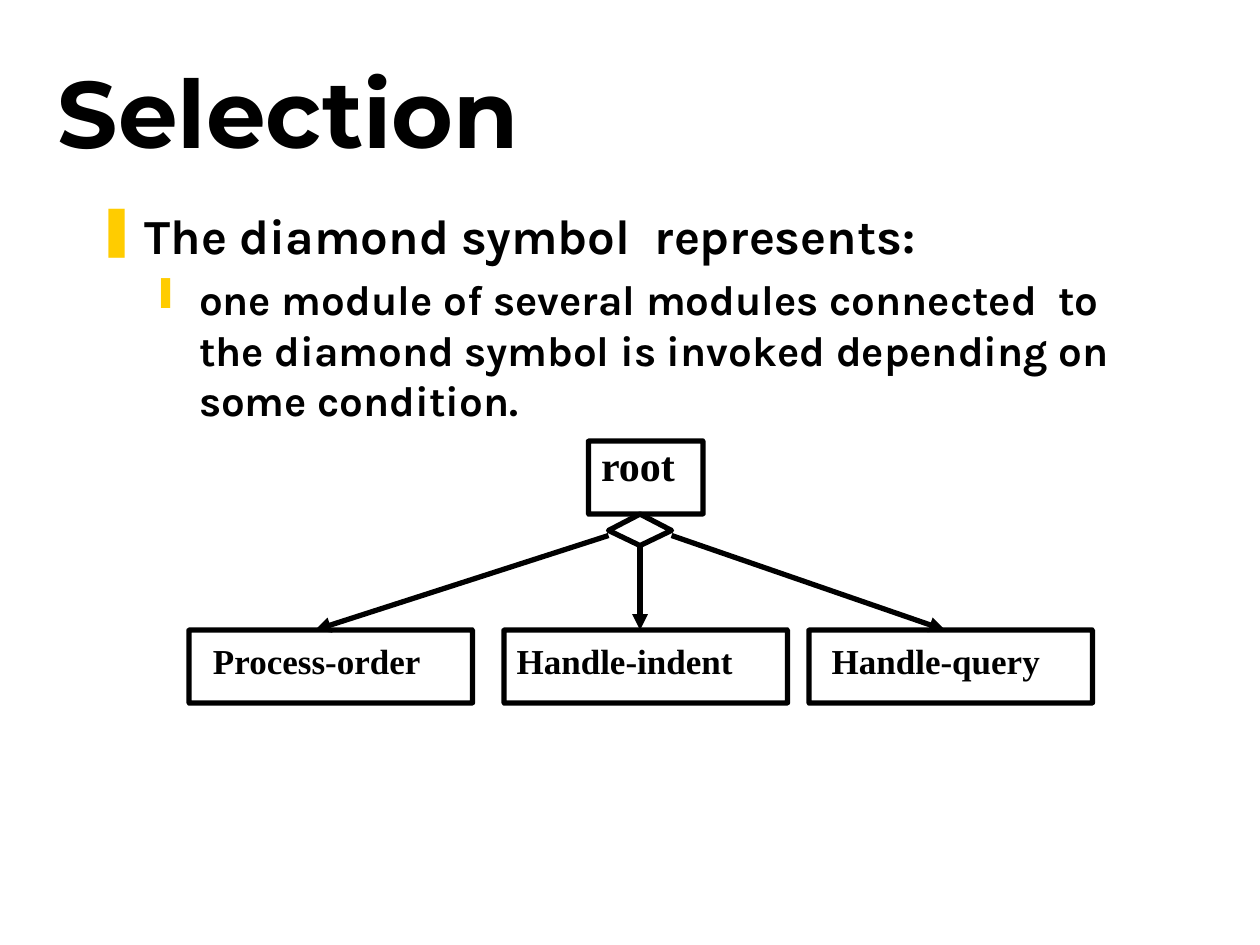
from dataclasses import dataclass

from lxml import etree
from pptx import Presentation
from pptx.dml.color import RGBColor
from pptx.enum import shapes, text
from pptx.oxml.ns import qn
from pptx.util import Inches, Pt

BLACK = RGBColor(0x00, 0x00, 0x00)
YELLOW = RGBColor(0xFF, 0xCC, 0x00)
LINE_WIDTH = Pt(3)
BOX_HEIGHT = 0.58
MODULE_TOP = 5.0
MODULE_WIDTH = 2.25


@dataclass(frozen=True)
class Label:
    words: str
    left: float
    top: float
    width: float
    height: float
    size: int


@dataclass(frozen=True)
class Module:
    left: float
    label: Label


@dataclass(frozen=True)
class Bullet:
    words: str
    symbol: str
    level: int
    indent: float
    hanging: float
    size: int
    space_before: float


@dataclass(frozen=True)
class Arrow:
    start_x: float
    start_y: float
    end_x: float


ROOT = Label("root", 4.75, 3.5, 1.25, 0.5, 24)
MODULES = [
    Module(1.5, Label("Process-order", 1.67, 5.08, 2.08, 0.43, 20)),
    Module(4.0, Label("Handle-indent", 4.08, 5.08, 2.33, 0.43, 20)),
    Module(6.42, Label("Handle-query", 6.58, 5.08, 2.08, 0.43, 20)),
]
ARROWS = [Arrow(4.83, 4.25, 2.5), Arrow(5.08, 4.33, 5.08), Arrow(5.33, 4.25, 7.5)]
DIAMOND = [(5.08, 4.08), (5.33, 4.21), (5.08, 4.33), (4.83, 4.21)]
BULLETS = [
    Bullet("The diamond symbol  represents:", "❚", 0, 0.38, 0.38, 28, 0),
    Bullet("one module of several modules connected  to the diamond symbol "
           "is invoked depending on some condition.", "❙", 1, 0.81, 0.31, 24, 5.5),
]


def add_text_frame(slide, left: float, top: float, width: float, height: float):
    box = slide.shapes.add_textbox(Inches(left), Inches(top), Inches(width), Inches(height))
    frame = box.text_frame
    frame.word_wrap = True
    frame.margin_left = frame.margin_right = Inches(0.02)
    return frame


def format_runs(paragraph, font_name: str, size: int) -> None:
    for run in paragraph.runs:
        run.font.name = font_name
        run.font.size = Pt(size)
        run.font.bold = True
        run.font.color.rgb = BLACK


def add_label(slide, label: Label) -> None:
    frame = add_text_frame(slide, label.left, label.top, label.width, label.height)
    frame.text = label.words
    paragraph = frame.paragraphs[0]
    paragraph.line_spacing = 0.85
    format_runs(paragraph, "Times New Roman", label.size)


def add_bullet(paragraph, bullet: Bullet) -> None:
    paragraph.text = bullet.words
    paragraph.level = bullet.level
    paragraph.space_before = Pt(bullet.space_before)
    properties = paragraph._p.get_or_add_pPr()
    properties.set("marL", str(Inches(bullet.indent)))
    properties.set("indent", str(-Inches(bullet.hanging)))
    color = etree.SubElement(properties, qn("a:buClr"))
    etree.SubElement(color, qn("a:srgbClr"), val=str(YELLOW))
    etree.SubElement(properties, qn("a:buChar"), char=bullet.symbol)
    format_runs(paragraph, "Karla", bullet.size)


def style_outline(shape) -> None:
    shape.shadow.inherit = False
    shape.fill.background()
    shape.line.color.rgb = BLACK
    shape.line.width = LINE_WIDTH


def add_box(slide, left: float, top: float, width: float) -> None:
    box = slide.shapes.add_shape(
        shapes.MSO_SHAPE.ROUNDED_RECTANGLE,
        Inches(left), Inches(top), Inches(width), Inches(BOX_HEIGHT))
    box.adjustments[0] = 0.003
    style_outline(box)


def add_arrow(slide, arrow: Arrow) -> None:
    connector = slide.shapes.add_connector(
        shapes.MSO_CONNECTOR.STRAIGHT,
        Inches(arrow.start_x), Inches(arrow.start_y),
        Inches(arrow.end_x), Inches(MODULE_TOP))
    connector.line.color.rgb = BLACK
    connector.line.width = LINE_WIDTH
    etree.SubElement(connector.line._get_or_add_ln(), qn("a:tailEnd"), type="triangle")
    etree.SubElement(connector._element.spPr, qn("a:effectLst"))


def add_diamond(slide) -> None:
    points = [(Inches(x), Inches(y)) for x, y in DIAMOND]
    builder = slide.shapes.build_freeform(*points[0])
    builder.add_line_segments(points[1:], close=True)
    style_outline(builder.convert_to_shape())


def main() -> None:
    presentation = Presentation()
    presentation.slide_width = Inches(10)
    presentation.slide_height = Inches(7.5)
    slide = presentation.slides.add_slide(presentation.slide_layouts[6])

    # Title
    title = add_text_frame(slide, 0.44, 0.25, 8.5, 1.25)
    title.vertical_anchor = text.MSO_ANCHOR.MIDDLE
    title.text = "Selection"
    format_runs(title.paragraphs[0], "Montserrat", 54)

    # Bulleted explanation
    body = add_text_frame(slide, 0.75, 1.58, 8.5, 4.5)
    for index, bullet in enumerate(BULLETS):
        add_bullet(body.add_paragraph() if index else body.paragraphs[0], bullet)

    # Root module and the modules below it
    add_box(slide, 4.67, 3.5, 0.91)
    add_label(slide, ROOT)
    for module in MODULES:
        add_box(slide, module.left, MODULE_TOP, MODULE_WIDTH)
        add_label(slide, module.label)

    # Selection diamond and its arrows
    for arrow in ARROWS:
        add_arrow(slide, arrow)
    add_diamond(slide)

    presentation.save("out.pptx")


if __name__ == "__main__":
    main()
